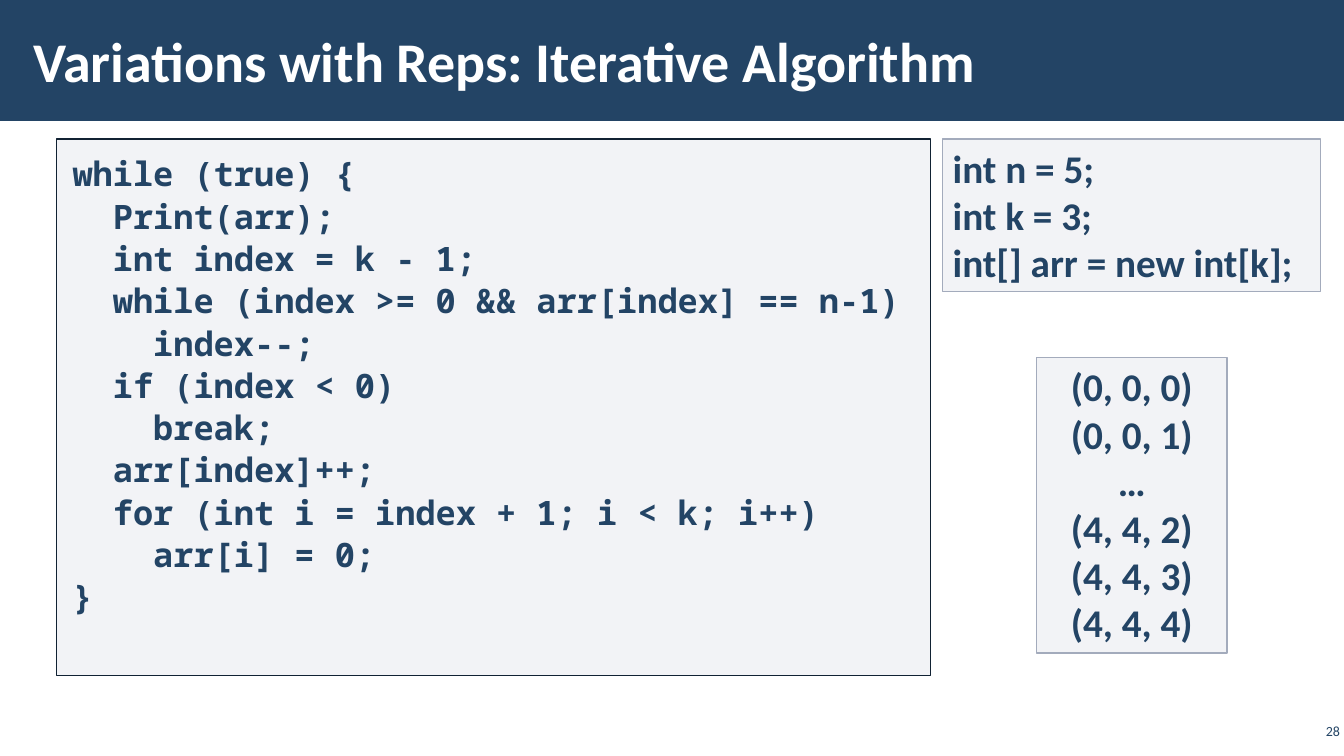
from dataclasses import dataclass

import lxml.etree
import pptx
import pptx.dml.color
import pptx.enum.shapes
import pptx.enum.text
import pptx.oxml.ns
import pptx.presentation
import pptx.slide
import pptx.util

RGBColor = pptx.dml.color.RGBColor
Align = pptx.enum.text.PP_ALIGN
Anchor = pptx.enum.text.MSO_ANCHOR

EMU_PER_PX = 9144  # 100 px to the inch

NAVY = RGBColor(0x23, 0x44, 0x65)
DARK_NAVY = RGBColor(0x11, 0x22, 0x33)
SLATE = RGBColor(0xAD, 0xB4, 0xC3)
PALE_SLATE = RGBColor(0xC2, 0xC7, 0xD2)
BORDER_SLATE = RGBColor(0xA3, 0xAB, 0xBC)
WHITE = RGBColor(0xFF, 0xFF, 0xFF)

LOOP_CODE = """\
while (true) {
  Print(arr);
  int index = k - 1;
  while (index >= 0 && arr[index] == n-1)
    index--;
  if (index < 0)
    break;
  arr[index]++;
  for (int i = index + 1; i < k; i++)
    arr[i] = 0;
}"""

SETUP_CODE = """\
int n = 5;
int k = 3;
int[] arr = new int[k];"""

VARIATIONS = """\
(0, 0, 0)
(0, 0, 1)
…
(4, 4, 2)
(4, 4, 3)
(4, 4, 4)"""


@dataclass(frozen=True)
class Panel:
    """A rectangle or text box; lengths are px, text size is points."""

    left: int
    top: int
    width: int
    height: int
    text: str = ""
    size: int = 28
    font: str = "Calibri"
    color: RGBColor = NAVY
    bold: bool = True
    align: Align = Align.LEFT
    anchor: Anchor = Anchor.TOP
    inset_x: int = 10
    inset_y: int = 5
    line_spacing: float = 1.0
    fill: RGBColor | None = None
    opacity: int = 100
    border: RGBColor | None = None


PANELS = (
    Panel(0, 0, 1334, 120, fill=NAVY),
    Panel(56, 138, 867, 532, LOOP_CODE, size=24, font="Noto Sans Mono",
          inset_x=16, inset_y=12, line_spacing=1.05,
          fill=SLATE, opacity=15, border=DARK_NAVY),
    Panel(21, 11, 1040, 97, "Variations with Reps: Iterative Algorithm", size=40,
          color=WHITE, anchor=Anchor.MIDDLE, inset_x=12, inset_y=4),
    Panel(1286, 714, 47, 22, "28", size=10, bold=False, align=Align.RIGHT,
          anchor=Anchor.MIDDLE, inset_x=4, inset_y=4),
    Panel(935, 138, 375, 151, SETUP_CODE,
          fill=PALE_SLATE, opacity=20, border=BORDER_SLATE),
    Panel(1028, 355, 189, 293, VARIATIONS, align=Align.CENTER,
          fill=PALE_SLATE, opacity=20, border=BORDER_SLATE),
)


def px(length: int) -> pptx.util.Emu:
    return pptx.util.Emu(length * EMU_PER_PX)


def set_attributes(target: object, values: dict[str, object]) -> None:
    for name, value in values.items():
        setattr(target, name, value)


def paint(shape: object, panel: Panel) -> None:
    shape.shadow.inherit = False
    shape.fill.solid()
    shape.fill.fore_color.rgb = panel.fill
    if panel.opacity < 100:
        color = shape.fill._xPr.find(".//" + pptx.oxml.ns.qn("a:srgbClr"))
        alpha = lxml.etree.SubElement(color, pptx.oxml.ns.qn("a:alpha"))
        alpha.set("val", str(panel.opacity * 1000))
    if panel.border is None:
        shape.line.fill.background()
    else:
        shape.line.color.rgb = panel.border
        shape.line.width = pptx.util.Pt(1)


def write_text(shape: object, panel: Panel) -> None:
    """Put each line of the panel's text in its own paragraph."""
    frame = shape.text_frame
    set_attributes(frame, {
        "text": panel.text,
        "word_wrap": True,
        "vertical_anchor": panel.anchor,
        "margin_left": px(panel.inset_x),
        "margin_right": px(panel.inset_x),
        "margin_top": px(panel.inset_y),
        "margin_bottom": px(panel.inset_y),
    })
    for paragraph in frame.paragraphs:
        set_attributes(paragraph, {
            "alignment": panel.align,
            "line_spacing": panel.line_spacing,
        })
        for run in paragraph.runs:
            set_attributes(run.font, {
                "name": panel.font,
                "size": pptx.util.Pt(panel.size),
                "bold": panel.bold,
            })
            run.font.color.rgb = panel.color


def draw_panel(slide: pptx.slide.Slide, panel: Panel) -> None:
    bounds = [px(n) for n in (panel.left, panel.top, panel.width, panel.height)]
    if panel.fill is None:
        shape = slide.shapes.add_textbox(*bounds)
    else:
        rectangle = pptx.enum.shapes.MSO_SHAPE.RECTANGLE
        shape = slide.shapes.add_shape(rectangle, *bounds)
        paint(shape, panel)
    if panel.text:
        write_text(shape, panel)


def build_presentation() -> pptx.presentation.Presentation:
    presentation = pptx.Presentation()
    presentation.slide_width = px(1333)
    presentation.slide_height = px(750)
    slide = presentation.slides.add_slide(presentation.slide_layouts[6])
    for panel in PANELS:
        draw_panel(slide, panel)
    return presentation


def main() -> None:
    build_presentation().save("out.pptx")


if __name__ == "__main__":
    main()
